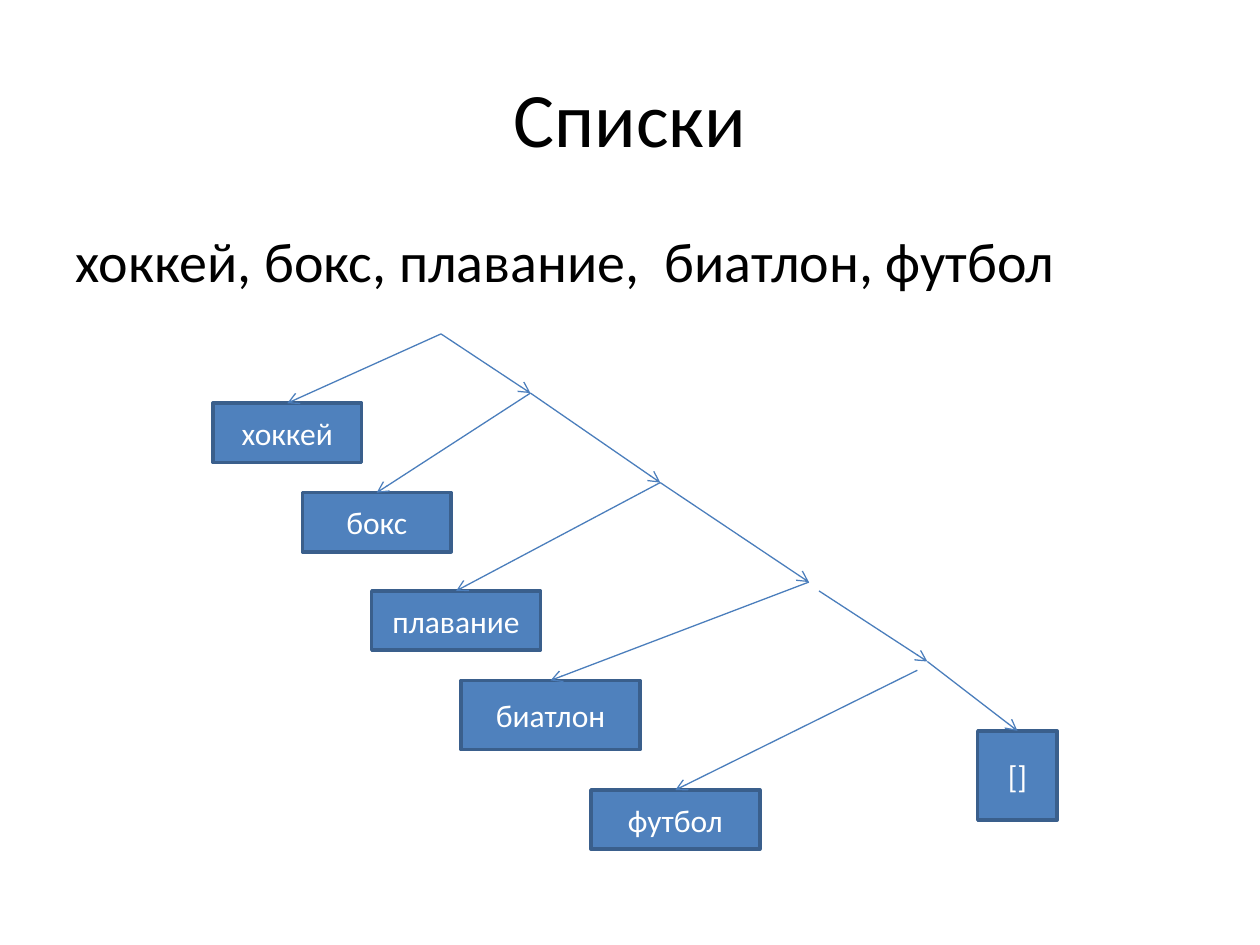
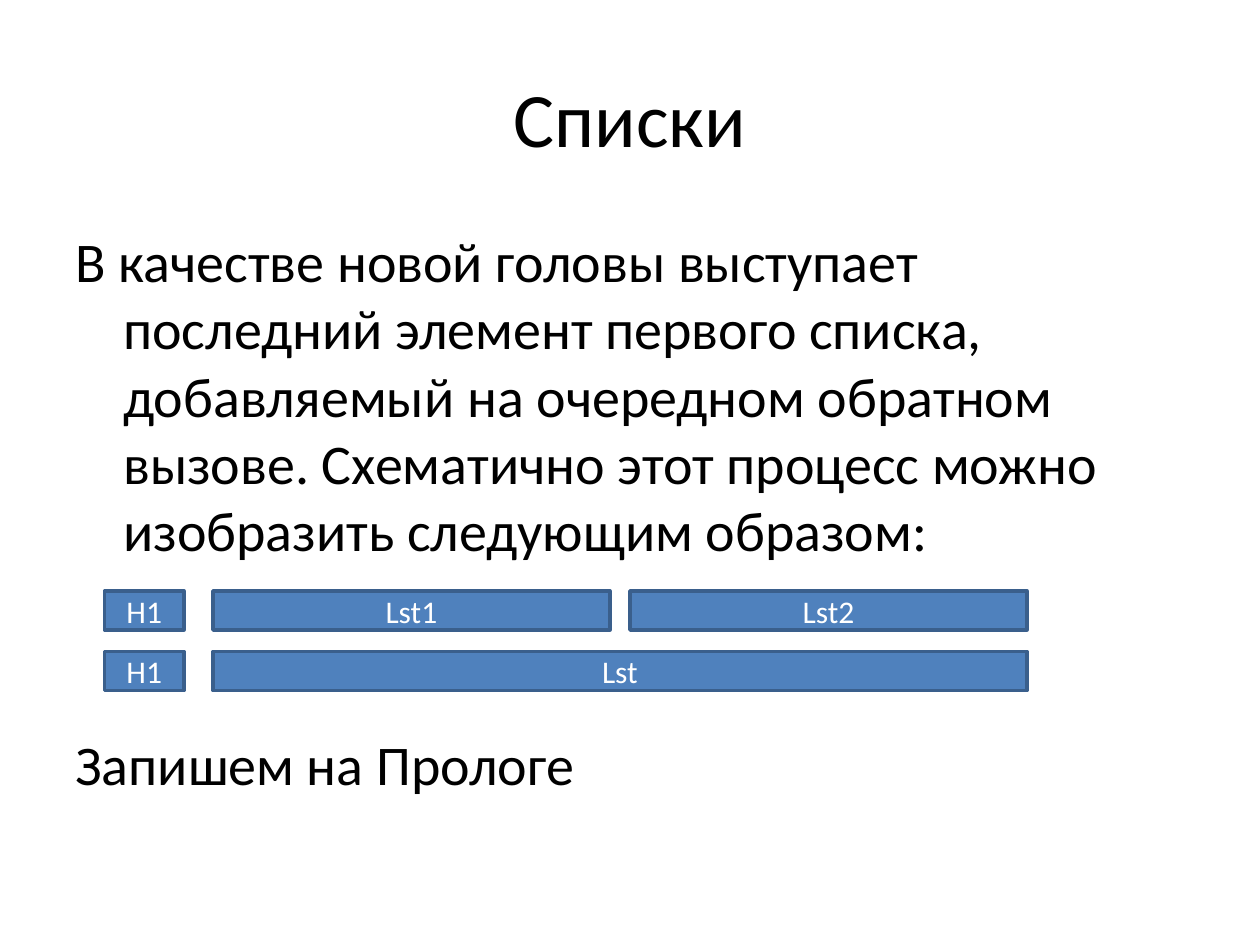
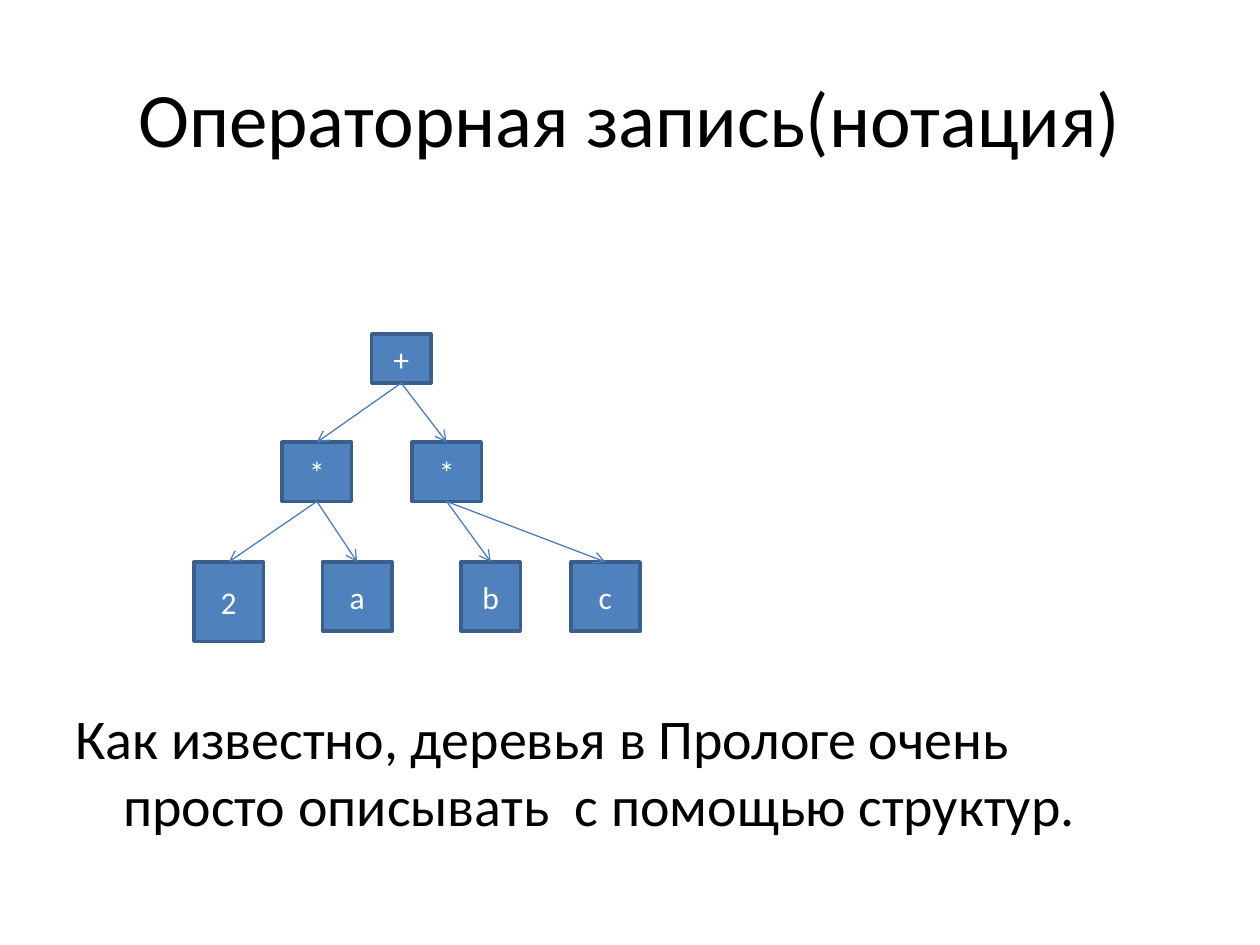
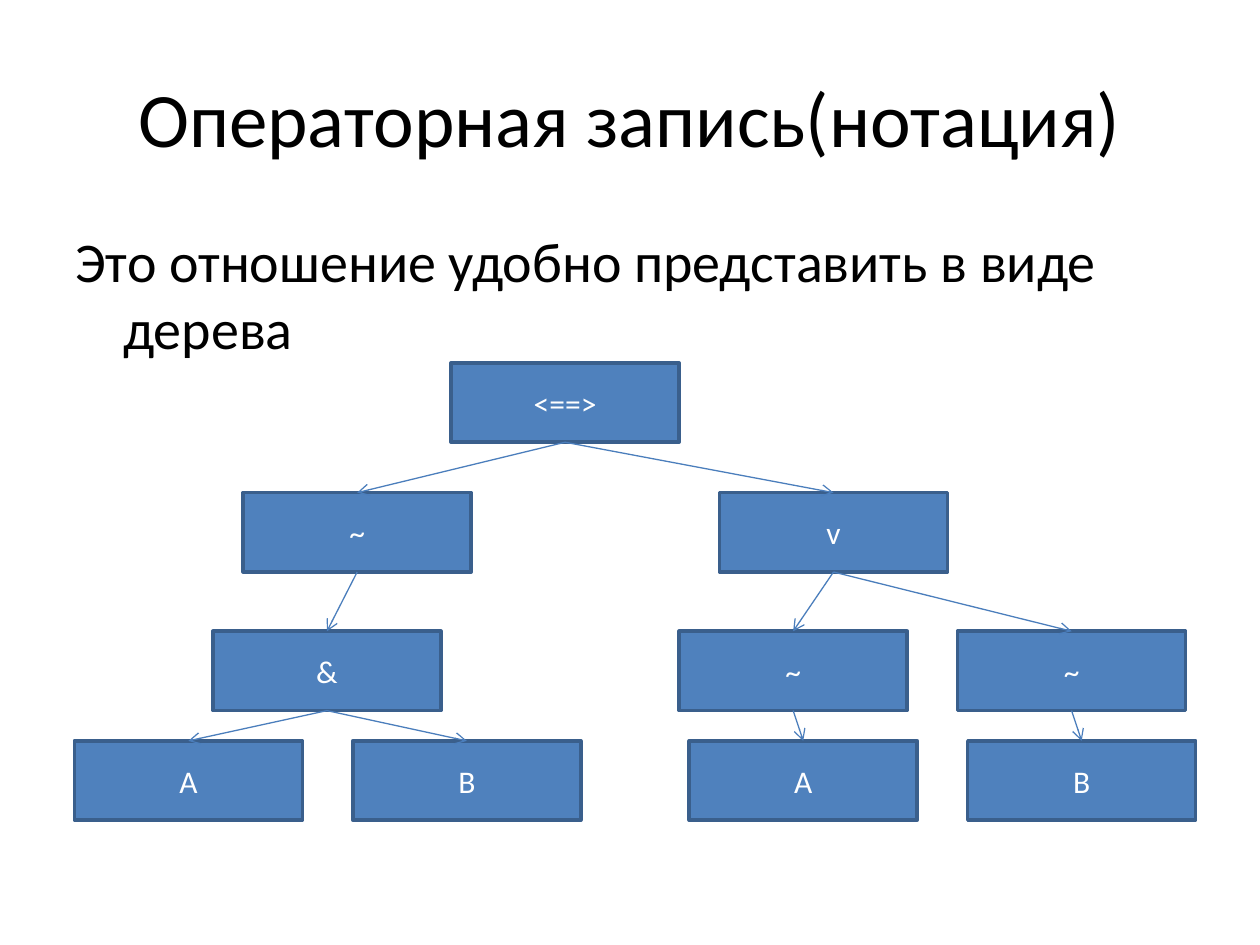
from dataclasses import dataclass

from lxml.etree import SubElement
from pptx import Presentation
from pptx.dml.color import RGBColor
from pptx.enum.shapes import MSO_CONNECTOR, MSO_SHAPE
from pptx.enum.text import MSO_ANCHOR, PP_ALIGN
from pptx.oxml.ns import qn
from pptx.util import Inches, Pt

FONT = "Calibri"
BLACK, WHITE = "000000", "FFFFFF"
BOX_FILL, BOX_LINE, ARROW_LINE = "4F81BD", "3A5F8C", "4B7EBC"
RECT, PROCESS = MSO_SHAPE.RECTANGLE, MSO_SHAPE.FLOWCHART_PROCESS
TOP_SITE, BOTTOM_SITE = 0, 2


@dataclass
class Box:
    left: float
    top: float
    width: float
    height: float

    def inside(self, left, top, width, height):
        """Box placed relative to this one's top left corner."""
        return Box(self.left + left, self.top + top, width, height)

    def point(self, offset):
        return Inches(self.left + offset[0]), Inches(self.top + offset[1])

    def lengths(self):
        return [Inches(n) for n in (self.left, self.top, self.width, self.height)]


TITLE_BOX = Box(0.5, 0.3, 9, 1.25)
BODY_BOX = Box(0.5, 1.75, 9, 4.95)


def colour(value):
    return RGBColor.from_string(value)


def style(para, text, size, ink, align=None):
    para.text = text
    para.alignment = align
    para.font.name = FONT
    para.font.size = Pt(size)
    para.font.color.rgb = colour(ink)


def add_title(page, text):
    frame = page.shapes.add_textbox(*TITLE_BOX.lengths()).text_frame
    frame.word_wrap = True
    frame.vertical_anchor = MSO_ANCHOR.MIDDLE
    style(frame.paragraphs[0], text, 44, BLACK, PP_ALIGN.CENTER)


def add_body(page, texts, anchor=MSO_ANCHOR.TOP, gap=0):
    """Paragraphs with a hanging indent, gap points apart."""
    frame = page.shapes.add_textbox(*BODY_BOX.lengths()).text_frame
    frame.word_wrap = True
    frame.vertical_anchor = anchor
    for index, text in enumerate(texts):
        para = frame.add_paragraph() if index else frame.paragraphs[0]
        style(para, text, 32, BLACK)
        para.space_before = Pt(gap if index else 0)
        properties = para._p.get_or_add_pPr()
        properties.set("marL", str(Inches(0.38)))
        properties.set("indent", str(Inches(-0.38)))


def add_node(page, box, label, kind=PROCESS):
    node = page.shapes.add_shape(kind, *box.lengths())
    node.shadow.inherit = False
    node.fill.solid()
    node.fill.fore_color.rgb = colour(BOX_FILL)
    node.line.color.rgb = colour(BOX_LINE)
    node.line.width = Pt(2)
    node.text_frame.word_wrap = True
    node.text_frame.vertical_anchor = MSO_ANCHOR.MIDDLE
    style(node.text_frame.paragraphs[0], label, 18, WHITE, PP_ALIGN.CENTER)
    return node


def add_arrow(page, start=(0, 0), end=(0, 0), parent=None, child=None):
    """Arrow between two points; a parent or child node replaces its point."""
    arrow = page.shapes.add_connector(MSO_CONNECTOR.STRAIGHT, *start, *end)
    if parent is not None:
        arrow.begin_connect(parent, BOTTOM_SITE)
    if child is not None:
        arrow.end_connect(child, TOP_SITE)
    arrow.line.color.rgb = colour(ARROW_LINE)
    arrow.line.width = Pt(0.75)
    SubElement(arrow.line._get_or_add_ln(), qn("a:tailEnd"), type="arrow")
    SubElement(arrow._element.spPr, qn("a:effectLst"))


def add_list_chain(page, box, cells, end_box):
    """Each cell: label, place, joint, start of its branch, start of its rail."""
    nodes = [add_node(page, box.inside(*place), label) for label, place, *_ in cells]
    empty_list = add_node(page, box.inside(*end_box), "[]", RECT)
    next_joints = [cell[2] for cell in cells[1:]]
    for node, (_, _, _, branch, rail), joint in zip(nodes, cells, next_joints + [None]):
        add_arrow(page, box.point(branch), child=node)
        if joint:
            add_arrow(page, box.point(rail), box.point(joint))
        else:
            add_arrow(page, box.point(rail), child=empty_list)


def add_tree(page, box, branches):
    """Each branch: label, place, shape kind, index of its parent."""
    nodes = [add_node(page, box.inside(*place), label, kind)
             for label, place, kind, _ in branches]
    for node, (*_, parent) in zip(nodes, branches):
        if parent is not None:
            add_arrow(page, parent=nodes[parent], child=node)


def add_list_rows(page, box):
    """Two lists above their concatenation."""
    head_width, tail_left, part_width, row_height = 0.63, 0.86, 3.15, 0.31
    second_left = box.width - part_width
    rows = [
        [("Lst1", tail_left, part_width), ("Lst2", second_left, part_width)],
        [("Lst", tail_left, box.width - tail_left)],
    ]
    for index, parts in enumerate(rows):
        top = index * (box.height - row_height)
        for label, left, width in [("H1", 0, head_width)] + parts:
            add_node(page, box.inside(left, top, width, row_height), label)


def build_list_tree(page):
    add_title(page, "Списки")
    add_body(page, ["хоккей, бокс, плавание,  биатлон, футбол"])
    first, second, third, fourth, fifth = (
        (1.81, 0), (2.52, 0.47), (3.55, 1.18), (4.73, 1.97), (5.67, 2.6))
    cells = [
        ("хоккей", (0, 0.55, 1.18, 0.47), first, first, first),
        ("бокс", (0.71, 1.26, 1.18, 0.47), second, second, second),
        ("плавание", (1.26, 2.04, 1.34, 0.47), third, third, third),
        ("биатлон", (1.97, 2.75, 1.42, 0.55), fourth, fourth, (4.81, 2.04)),
        ("футбол", (3, 3.62, 1.34, 0.47), fifth, (5.59, 2.67), fifth),
    ]
    add_list_chain(page, Box(1.69, 2.65, 6.7, 4.09), cells, (6.07, 3.15, 0.63, 0.71))


def build_list_joining(page):
    add_title(page, "Списки")
    add_body(page, [
        "В качестве новой головы выступает последний элемент первого списка, "
        "добавляемый на очередном обратном вызове. Схематично этот процесс "
        "можно изобразить следующим образом:",
        "Запишем на Прологе",
    ], gap=95)
    add_list_rows(page, Box(0.83, 4.69, 7.32, 0.79))


def build_arithmetic_tree(page):
    add_title(page, "Операторная запись(нотация)")
    add_body(page, ["Как известно, деревья в Прологе очень просто описывать"
                    "  с помощью структур."], MSO_ANCHOR.BOTTOM)
    middle, bottom = 0.86, 1.81
    add_tree(page, Box(1.54, 2.65, 3.54, 2.44), [
        ("+", (1.41, 0, 0.47, 0.39), RECT, None),
        ("*", (0.7, middle, 0.55, 0.47), RECT, 0),
        ("*", (1.73, middle, 0.55, 0.47), PROCESS, 0),
        ("2", (0, bottom, 0.55, 0.63), PROCESS, 1),
        ("a", (1.02, bottom, 0.55, 0.55), PROCESS, 1),
        ("b", (2.12, bottom, 0.47, 0.55), PROCESS, 2),
        ("c", (2.99, bottom, 0.55, 0.55), PROCESS, 2),
    ])


def build_logic_tree(page):
    add_title(page, "Операторная запись(нотация)")
    add_body(page, ["Это отношение удобно представить в виде дерева"])
    level_tops = [0, 1.03, 2.13, 3]
    branches = [
        ("<==>", 2.99, 0, None),
        ("~", 1.34, 1, 0), ("v", 5.12, 1, 0),
        ("&", 1.1, 2, 1), ("~", 4.8, 2, 2), ("~", 7.01, 2, 2),
        ("A", 0, 3, 3), ("B", 2.21, 3, 3), ("A", 4.88, 3, 4), ("B", 7.09, 3, 5),
    ]
    add_tree(page, Box(0.59, 2.88, 8.9, 3.63), [
        (label, (left, level_tops[level], 1.81, 0.63), RECT, parent)
        for label, left, level, parent in branches
    ])


def main():
    deck = Presentation()
    deck.slide_width, deck.slide_height = Inches(10), Inches(7.5)
    blank = deck.slide_layouts[6]
    for build in (build_list_tree, build_list_joining,
                  build_arithmetic_tree, build_logic_tree):
        build(deck.slides.add_slide(blank))
    deck.save("out.pptx")


if __name__ == "__main__":
    main()
